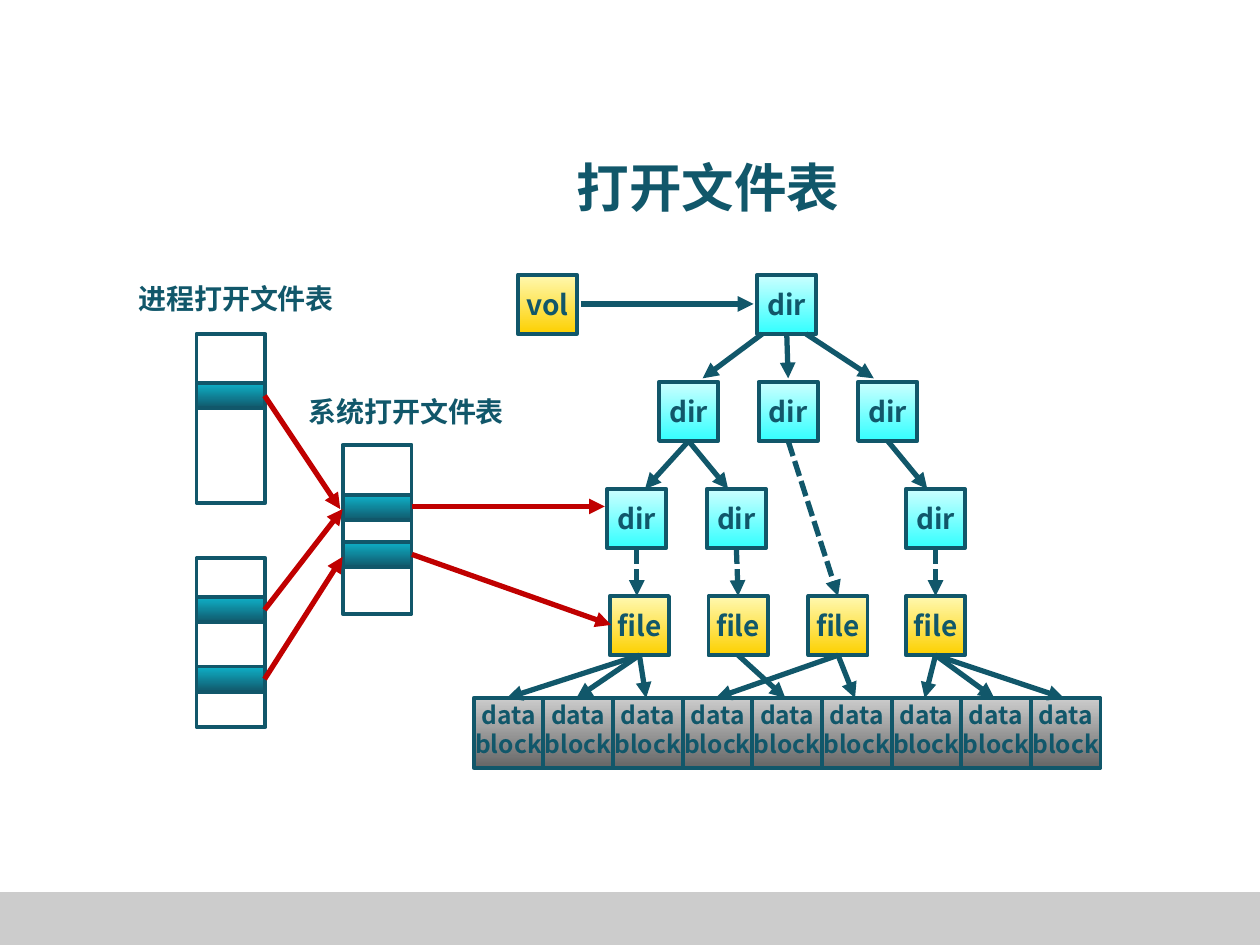
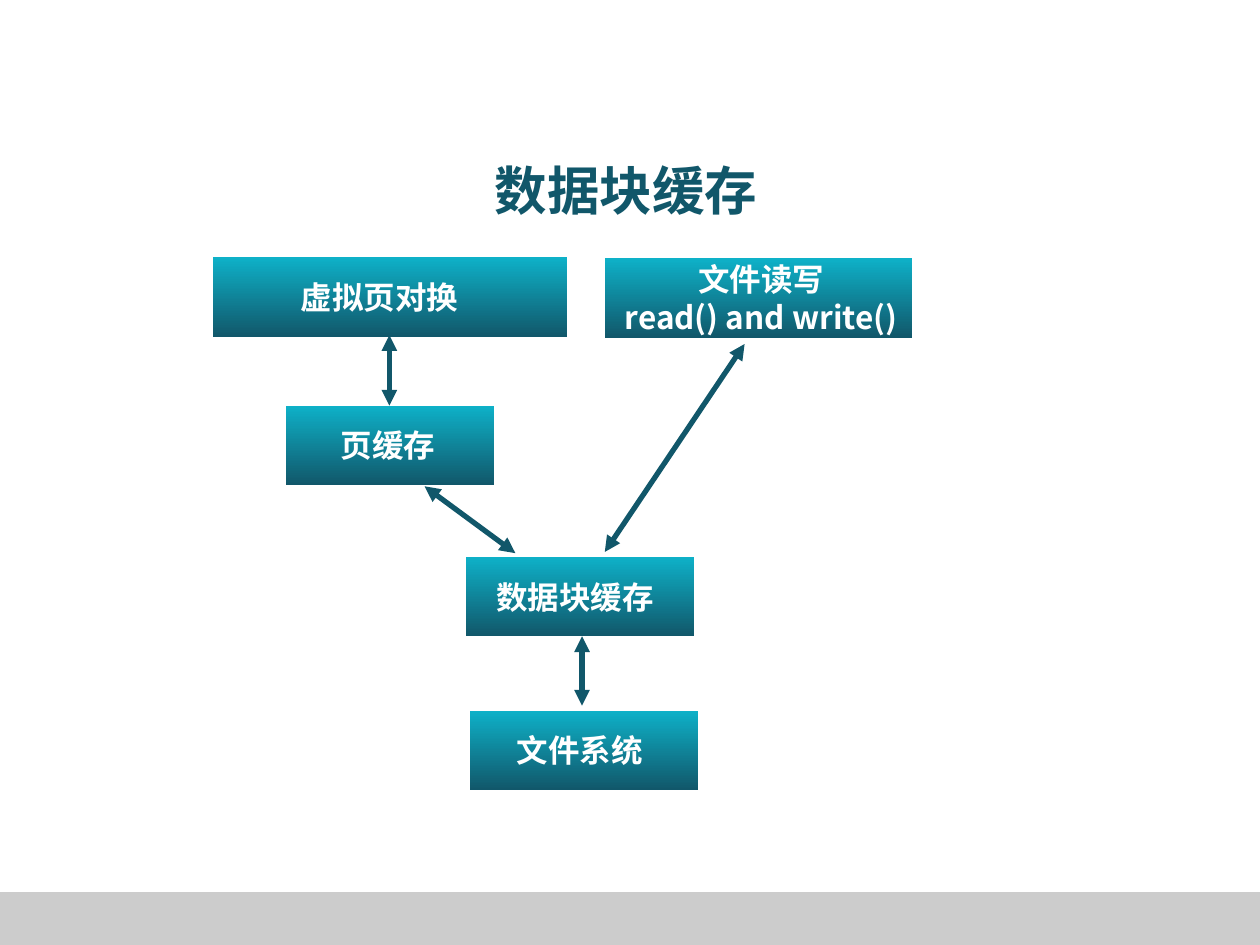
from dataclasses import dataclass

from lxml.etree import SubElement
from pptx import Presentation
from pptx.dml.color import RGBColor
from pptx.enum.dml import MSO_LINE_DASH_STYLE as Dash
from pptx.enum.shapes import MSO_CONNECTOR as Connector, MSO_SHAPE as Preset
from pptx.enum.text import MSO_ANCHOR as Anchor, PP_ALIGN as Align
from pptx.oxml.ns import qn
from pptx.util import Pt


@dataclass(frozen=True)
class Theme:
    font: str = "Noto Sans CJK SC"
    ink: str = "11576A"
    white: str = "FFFFFF"
    red: str = "C00000"
    band: str = "CCCCCC"
    teal: tuple = ("0EB1C8", "11576A")
    yellow: tuple = ("FFF9B1", "FDD000")
    cyan: tuple = ("CCFFFF", "33FFFF")
    gray: tuple = ("CCCCCC", "666666")
    title_size: float = 30
    box_size: float = 18
    label_size: float = 16
    block_size: float = 14
    outline: float = 2.25
    arrow: float = 3


@dataclass(frozen=True)
class Node:
    left: float
    top: float
    size: float

    def top_point(self, shift=0):
        return self.left + self.size / 2 + shift, self.top

    def bottom_point(self, shift=0):
        return self.left + self.size / 2 + shift, self.top + self.size


class Painter:
    def __init__(self, deck, theme):
        self.deck = deck
        self.theme = theme
        self.page = None

    def new_page(self, title, left, top):
        self.page = self.deck.slides.add_slide(self.deck.slide_layouts[6])
        self.rect(0, 509.8, 720, 30.2, fill=self.theme.band)
        frame = self.label(title, left, top, 648, 40.3, self.theme.title_size)
        frame.margin_top = Pt(6)

    def set_text(self, frame, text, size, color):
        frame.margin_left = frame.margin_right = 0
        frame.margin_top = frame.margin_bottom = 0
        frame.word_wrap = False
        frame.vertical_anchor = Anchor.MIDDLE
        frame.text = text
        for para in frame.paragraphs:
            para.alignment = Align.CENTER
            font = para.font
            font.name = self.theme.font
            font.size = Pt(size)
            font.bold = True
            font.color.rgb = RGBColor.from_string(color)
            east_asian = SubElement(para._p.pPr.find(qn("a:defRPr")), qn("a:ea"))
            east_asian.set("typeface", self.theme.font)

    def label(self, text, left, top, width, height, size):
        box = self.page.shapes.add_textbox(Pt(left), Pt(top), Pt(width), Pt(height))
        self.set_text(box.text_frame, text, size, self.theme.ink)
        box.text_frame.word_wrap = True
        return box.text_frame

    def rect(self, left, top, width, height, fill=None, outlined=False):
        box = self.page.shapes.add_shape(
            Preset.RECTANGLE, Pt(left), Pt(top), Pt(width), Pt(height))
        box.shadow.inherit = False
        if fill is None:
            box.fill.background()
        elif isinstance(fill, tuple):
            box.fill.gradient()
            box.fill.gradient_angle = 270
            for stop, color in zip(box.fill.gradient_stops, fill):
                stop.color.rgb = RGBColor.from_string(color)
        else:
            box.fill.solid()
            box.fill.fore_color.rgb = RGBColor.from_string(fill)
        if outlined:
            box.line.color.rgb = RGBColor.from_string(self.theme.ink)
            box.line.width = Pt(self.theme.outline)
        else:
            box.line.fill.background()
        return box

    def node(self, text, left, top, fill, size=33.8):
        box = self.rect(left, top, size, size, fill, outlined=True)
        self.set_text(box.text_frame, text, self.theme.label_size, self.theme.ink)
        return Node(left, top, size)

    def data_block(self, left, top, size):
        box = self.rect(left, top, size, size, self.theme.gray, outlined=True)
        self.set_text(box.text_frame, "data\nblock", self.theme.block_size, self.theme.ink)
        box.text_frame.margin_bottom = Pt(4)
        return Node(left, top, size)

    def layer(self, text, left, top, width, shift):
        box = self.rect(left, top, width, 45.4, self.theme.teal)
        frame = box.text_frame
        self.set_text(frame, text, self.theme.box_size, self.theme.white)
        frame.margin_left = Pt(max(2 * shift, 0))
        frame.margin_right = Pt(max(-2 * shift, 0))

    def open_table(self, left, top, entries):
        self.rect(left, top, 39.4, 96.5, outlined=True)
        for offset in entries:
            self.rect(left, top + offset, 39.4, 14.4, self.theme.teal, outlined=True)

    def arrow(self, start, end, color=None, dashed=False, both=False):
        points = [Pt(value) for value in (*start, *end)]
        link = self.page.shapes.add_connector(Connector.STRAIGHT, *points)
        link.line.color.rgb = RGBColor.from_string(color or self.theme.ink)
        link.line.width = Pt(self.theme.arrow)
        if dashed:
            link.line.dash_style = Dash.SQUARE_DOT
        properties = link._element.spPr
        stroke = properties.find(qn("a:ln"))
        for tag in ("a:headEnd", "a:tailEnd") if both else ("a:tailEnd",):
            SubElement(stroke, qn(tag)).set("type", "triangle")
        SubElement(properties, qn("a:effectLst"))


def draw_open_file_tables(painter):
    theme = painter.theme
    painter.new_page("打开文件表", 80.6, 83.5)

    row_tops = [157 + 61.2 * row for row in range(4)]
    painter.node("vol", 295.9, row_tops[0], theme.yellow)
    root = painter.node("dir", 432.7, row_tops[0], theme.cyan)
    upper = [painter.node("dir", 376.6 + 56.9 * column, row_tops[1], theme.cyan)
             for column in range(3)]
    lower = [painter.node("dir", left, row_tops[2], theme.cyan)
             for left in (347, 403.9, 517.7)]
    files = [painter.node("file", left, row_tops[3], theme.yellow)
             for left in (348.5, 404.9, 462, 517.7)]
    block_size = 39.8
    blocks = [painter.data_block(270.7 + block_size * index, 398.9, block_size)
              for index in range(9)]

    painter.arrow((331.9, 173.7), (430.6, 173.7))
    for child, start_shift, end_shift in zip(upper, (-14, 0, 11), (8, 0, -8)):
        end_x, end_y = child.top_point(end_shift)
        painter.arrow(root.bottom_point(start_shift), (end_x, end_y - 2))
    for parent, child, shift in ((0, 0, 4.7), (0, 1, -4.7), (2, 2, -4.7)):
        painter.arrow(upper[parent].bottom_point(), lower[child].top_point(shift))
    for parent, child in zip((*lower, upper[1]), (0, 1, 3, 2)):
        shift = -1.5 if child == 0 else 0
        painter.arrow(parent.bottom_point(), files[child].top_point(shift), dashed=True)
    for file, indexes in zip(files, ((0, 1, 2), (4,), (3, 5), (6, 7, 8))):
        for index in indexes:
            painter.arrow(file.bottom_point(), blocks[index].top_point(-1))

    painter.label("系统打开文件表", 168.5, 221.8, 127.4, 26.6, theme.label_size)
    painter.open_table(195.8, 254.2, (28.8, 55.4))
    painter.label("进程打开文件表", 71.3, 157, 127.4, 26.6, theme.label_size)
    painter.open_table(112.3, 190.8, (28.1,))
    painter.open_table(112.3, 319, (22.3, 61.9))

    system_right, process_right = 235.4, 151.2
    for start, end in (
        ((system_right, 289.4), (345.6, 289.4)),
        ((system_right, 316.8), (349.2, 357.1)),
        ((process_right, 226.1), (194.4, 290.9)),
        ((process_right, 348.5), (195.8, 290.9)),
        ((process_right, 388.1), (195.8, 318.2)),
    ):
        painter.arrow(start, end, color=theme.red)


def draw_block_cache(painter):
    painter.new_page("数据块缓存", 33.8, 85.3)
    for text, left, top, width, shift in (
        ("虚拟页对换", 121.7, 147, 202.3, -6),
        ("文件读写\nread() and write()", 345.6, 147.6, 175.7, 1.5),
        ("页缓存", 163.4, 231.8, 118.8, -1),
        ("文件系统", 268.6, 406.1, 130.3, -2.5),
        ("数据块缓存", 266.4, 318.2, 130.3, -3),
    ):
        painter.layer(text, left, top, width, shift)
    for start, end in (
        ((222.5, 191.5), (222.5, 231.8)),
        ((332.6, 363.6), (332.6, 403.2)),
        ((242.6, 277.9), (294.5, 316.1)),
        ((425.5, 196.6), (345.6, 315.4)),
    ):
        painter.arrow(start, end, both=True)


def main():
    deck = Presentation()
    deck.slide_width, deck.slide_height = Pt(720), Pt(540)
    painter = Painter(deck, Theme())
    draw_open_file_tables(painter)
    draw_block_cache(painter)
    deck.save("out.pptx")


if __name__ == "__main__":
    main()
